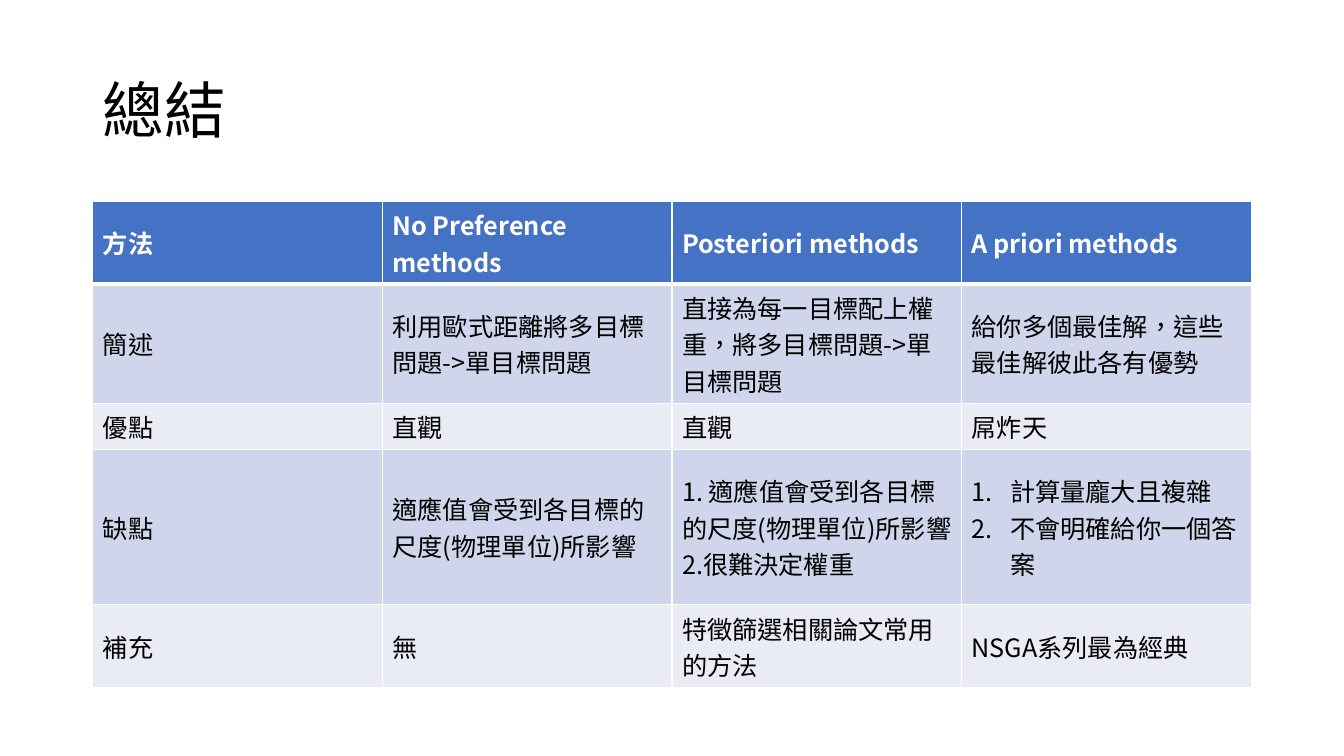
from lxml import etree
from pptx import Presentation
from pptx import util as u
from pptx.dml.color import RGBColor
from pptx.enum import text
from pptx.oxml.ns import qn

TITLE = "總結"
NUMBERED = ["計算量龐大且複雜", "不會明確給你一個答案"]
ROWS = [
    ["方法", "No Preference methods", "Posteriori methods", "A priori methods"],
    ["簡述", "利用歐式距離將多目標問題->單目標問題",
     "直接為每一目標配上權重，將多目標問題->單目標問題",
     "給你多個最佳解，這些最佳解彼此各有優勢"],
    ["優點", "直觀", "直觀", "屌炸天"],
    ["缺點", "適應值會受到各目標的尺度(物理單位)所影響",
     ["1. 適應值會受到各目標的尺度(物理單位)所影響", "2.很難決定權重"],
     NUMBERED],
    ["補充", "無", "特徵篩選相關論文常用的方法", "NSGA系列最為經典"],
]
ROW_LINES = [2, 3, 1, 4, 2]
COLORS = {"header": "4472C4", "odd": "CFD5EA", "even": "E9EBF5",
          "white": "FFFFFF", "black": "000000"}
FONT = "Noto Sans CJK SC"
LEFT, WIDTH = 0.92, 11.49
TITLE_TOP, TITLE_HEIGHT = 0.4, 1.45
TABLE_TOP, LINE_HEIGHT, ROW_PADDING = 2, 0.36, 0.1
INDENT = 0.38


def rgb(name):
    """Look up a named colour."""
    return RGBColor.from_string(COLORS[name])


def add_run(p, words, color, **formats):
    """Add a run in the slide's font for Latin and Chinese text."""
    r = p.add_run()
    r.text = words
    for name, value in {"name": FONT, **formats}.items():
        setattr(r.font, name, value)
    r.font.color.rgb = rgb(color)
    rPr = r._r.get_or_add_rPr()
    rPr.set("lang", "zh-TW")
    rPr.find(qn("a:latin")).addnext(
        etree.Element(qn("a:ea"), typeface=FONT))


def number(p):
    """Give a paragraph an automatic number and a hanging indent."""
    pPr = p._p.get_or_add_pPr()
    pPr.set("marL", str(u.Inches(INDENT)))
    pPr.set("indent", str(-u.Inches(INDENT)))
    etree.SubElement(pPr, qn("a:buFont"), typeface="+mj-lt")
    etree.SubElement(pPr, qn("a:buAutoNum"), type="arabicPeriod")


def add_borders(cell, row):
    """Draw white cell borders, heavier under the header."""
    heavy = {(0, "B"), (1, "T")}
    for side in "LRTB":
        width = u.Pt(3 if (row, side) in heavy else 1)
        ln = etree.SubElement(cell._tc.get_or_add_tcPr(),
                              qn("a:ln" + side), w=str(width))
        fill = etree.SubElement(ln, qn("a:solidFill"))
        etree.SubElement(fill, qn("a:srgbClr"), val=COLORS["white"])


def fill_cell(cell, content, row):
    """Write and style one table cell."""
    header = row == 0
    cell.vertical_anchor = text.MSO_ANCHOR.MIDDLE
    add_borders(cell, row)
    cell.fill.solid()
    cell.fill.fore_color.rgb = rgb(
        "header" if header else "odd" if row % 2 else "even")
    tf = cell.text_frame
    lines = content if isinstance(content, list) else [content]
    for i, line in enumerate(lines):
        p = tf.add_paragraph() if i else tf.paragraphs[0]
        if content is NUMBERED:
            number(p)
        add_run(p, line, "white" if header else "black",
                size=u.Pt(18), bold=header)


def add_title(slide):
    """Add the slide's title."""
    sp = slide.shapes.add_textbox(*map(
        u.Inches, (LEFT, TITLE_TOP, WIDTH, TITLE_HEIGHT)))
    tf = sp.text_frame
    tf.word_wrap = True
    tf.vertical_anchor = text.MSO_ANCHOR.MIDDLE
    p = tf.paragraphs[0]
    p.line_spacing = 0.9
    add_run(p, TITLE, "black", size=u.Pt(44))


def add_methods_table(slide):
    """Add the comparison table, each row as tall as its lines of text."""
    heights = [ROW_PADDING + LINE_HEIGHT * n for n in ROW_LINES]
    table = slide.shapes.add_table(len(ROWS), len(ROWS[0]), *map(
        u.Inches, (LEFT, TABLE_TOP, WIDTH, sum(heights)))).table
    for i, (row, height) in enumerate(zip(ROWS, heights)):
        table.rows[i].height = u.Inches(height)
        for j, content in enumerate(row):
            fill_cell(table.cell(i, j), content, i)


prs = Presentation()
prs.slide_width, prs.slide_height = u.Inches(13.33), u.Inches(7.5)
slide = prs.slides.add_slide(prs.slide_layouts[6])
add_title(slide)
add_methods_table(slide)
prs.save("out.pptx")
